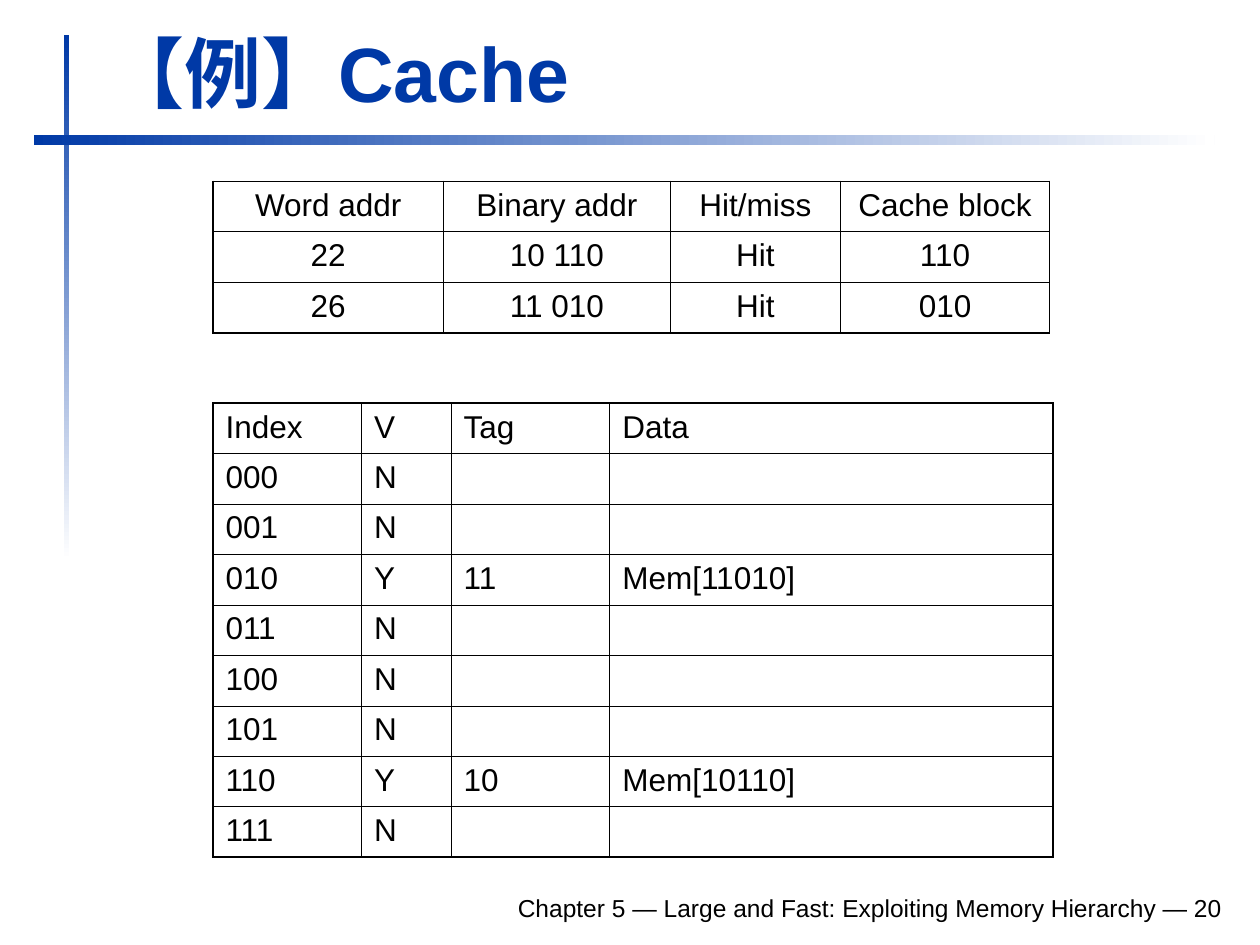
from lxml import etree
from pptx import Presentation
from pptx.dml.color import RGBColor
from pptx.enum.shapes import MSO_SHAPE
from pptx.enum.text import MSO_ANCHOR, PP_ALIGN
from pptx.oxml.ns import qn
from pptx.util import Inches, Pt

BLUE = RGBColor(0x00, 0x39, 0xA6)
WHITE = RGBColor(0xFF, 0xFF, 0xFF)
BLACK = RGBColor(0x00, 0x00, 0x00)
FONT = "Arial"
RECTANGLE = MSO_SHAPE.RECTANGLE
BOTTOM = MSO_ANCHOR.BOTTOM
LEFT, CENTER, RIGHT = PP_ALIGN.LEFT, PP_ALIGN.CENTER, PP_ALIGN.RIGHT

ROW_HEIGHT = 0.4
OUTER_WIDTH, HEADER_WIDTH, INNER_WIDTH = 1.08, 0.75, 0.45

ACCESSES = [
    ("Word addr", "Binary addr", "Hit/miss", "Cache block"),
    ("22", "10 110", "Hit", "110"),
    ("26", "11 010", "Hit", "010"),
]
CACHED_TAGS = {"010": "11", "110": "10"}


def cache_rows():
    """List every index of the cache, with its block where one is held."""
    rows = [("Index", "V", "Tag", "Data")]
    for number in range(8):
        index = f"{number:03b}"
        tag = CACHED_TAGS.get(index)
        rows.append((index, "Y", tag, f"Mem[{tag}{index}]") if tag
                    else (index, "N", "", ""))
    return rows


def write_text(paragraph, text, size, color, alignment=LEFT, bold=False):
    paragraph.alignment = alignment
    paragraph.font.size = Pt(size)
    if text:
        run = paragraph.add_run()
        run.text = text
        font = run.font
        font.name, font.size, font.bold = FONT, Pt(size), bold
        font.color.rgb = color


def add_gradient_bar(slide, left, top, width, height, angle):
    bar = slide.shapes.add_shape(
        RECTANGLE, Inches(left), Inches(top), Inches(width), Inches(height))
    bar.shadow.inherit = False
    bar.line.fill.background()
    bar.fill.gradient()
    bar.fill.gradient_angle = angle
    for stop, color, position in zip(bar.fill.gradient_stops, (BLUE, WHITE), (0, 1)):
        stop.color.rgb = color
        stop.position = position


def set_title(slide, text):
    title = slide.shapes.title
    title.left, title.top = Inches(0.75), Inches(0.16)
    title.width, title.height = Inches(9.03), Inches(0.83)
    title.text_frame.vertical_anchor = BOTTOM
    title.text_frame.word_wrap = True
    write_text(title.text_frame.paragraphs[0], text, 44, BLUE, bold=True)


def add_footer(slide, text):
    footer = slide.shapes.add_textbox(
        Inches(1.85), Inches(6.98), Inches(7.95), Inches(0.39))
    footer.text_frame.word_wrap = True
    footer.text_frame.vertical_anchor = BOTTOM
    write_text(footer.text_frame.paragraphs[0], text, 14, BLACK, RIGHT)


def set_borders(cell, widths):
    """Draw the left, right, top and bottom lines of a cell."""
    properties = cell._tc.get_or_add_tcPr()
    for position, (side, width) in enumerate(zip("LRTB", widths)):
        line = etree.Element(qn(f"a:ln{side}"), w=str(int(Pt(width))))
        fill = etree.SubElement(line, qn("a:solidFill"))
        etree.SubElement(fill, qn("a:srgbClr"), val=str(BLACK))
        properties.insert(position, line)


def line_widths(count, inner, second):
    """Widths of the lines around and between a number of rows or columns."""
    return [OUTER_WIDTH, second] + [inner] * (count - 2) + [OUTER_WIDTH]


def add_grid(slide, left, top, column_widths, rows, alignment, row_line):
    frame = slide.shapes.add_table(
        len(rows), len(column_widths), Inches(left), Inches(top),
        Inches(sum(column_widths)), Inches(ROW_HEIGHT * len(rows)))
    table = frame.table
    table.first_row = table.horz_banding = False
    for column, width in zip(table.columns, column_widths):
        column.width = Inches(width)
    across = line_widths(len(rows), row_line, HEADER_WIDTH)
    down = line_widths(len(column_widths), INNER_WIDTH, INNER_WIDTH)
    for i, row in enumerate(rows):
        table.rows[i].height = Inches(ROW_HEIGHT)
        for j, text in enumerate(row):
            cell = table.cell(i, j)
            cell.fill.background()
            set_borders(cell, (down[j], down[j + 1], across[i], across[i + 1]))
            write_text(cell.text_frame.paragraphs[0], text, 18, BLACK, alignment)


def main():
    presentation = Presentation()
    presentation.slide_width, presentation.slide_height = Inches(10), Inches(7.5)
    slide = presentation.slides.add_slide(presentation.slide_layouts[5])

    # Crossed bars, title and footer
    add_gradient_bar(slide, 0.51, 0.28, 0.04, 4.17, angle=270)
    add_gradient_bar(slide, 0.27, 1.07, 9.37, 0.08, angle=0)
    set_title(slide, "【例】Cache")
    add_footer(slide, "Chapter 5 — Large and Fast: Exploiting Memory Hierarchy — 20")

    # Cache contents below, memory accesses above
    add_grid(slide, 1.69, 3.2, (1.18, 0.71, 1.26, 3.52), cache_rows(),
             LEFT, INNER_WIDTH)
    add_grid(slide, 1.69, 1.44, (1.83, 1.8, 1.35, 1.66), ACCESSES,
             CENTER, HEADER_WIDTH)

    presentation.save("out.pptx")


if __name__ == "__main__":
    main()
